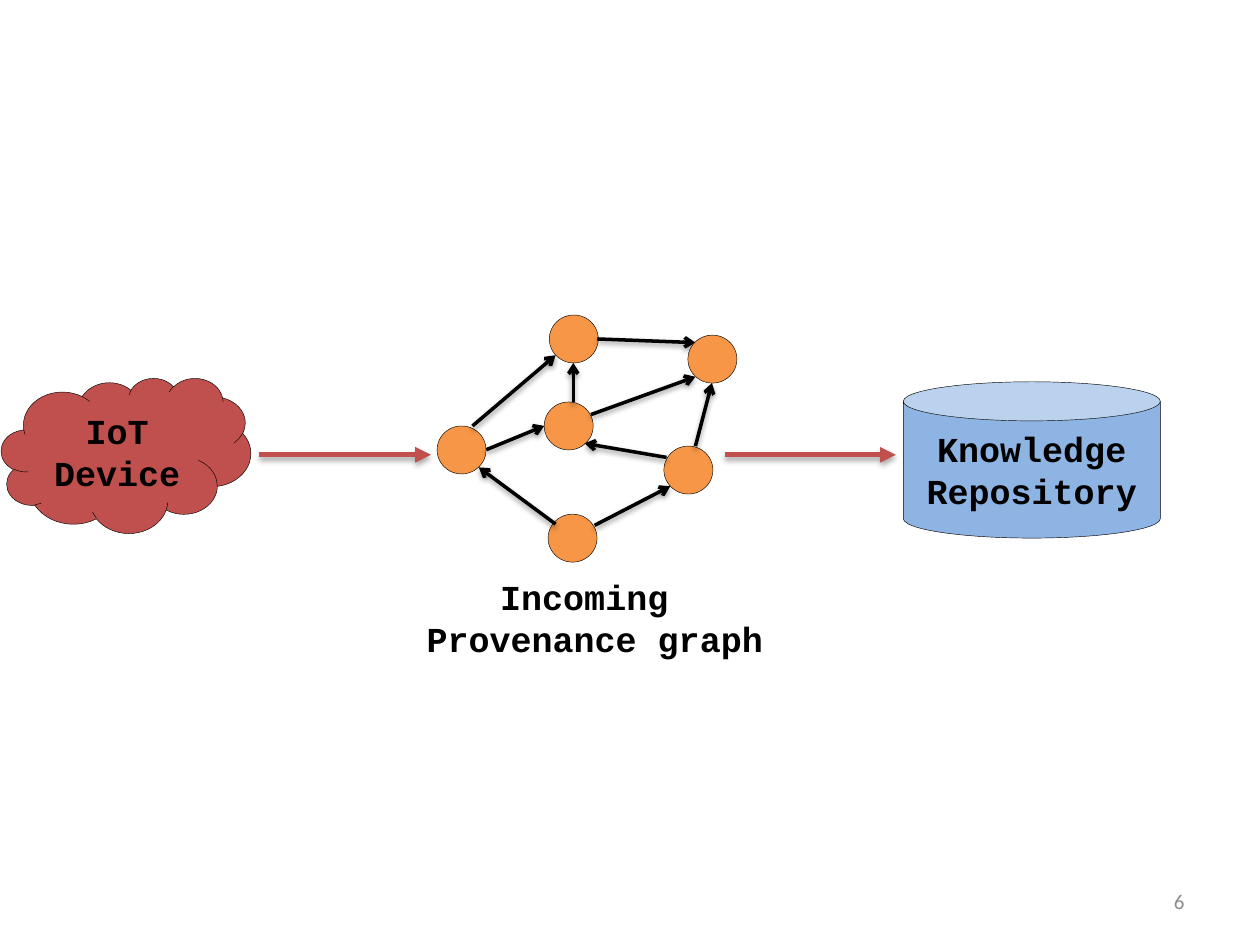
from lxml import etree
from pptx import Presentation
from pptx.dml.color import RGBColor
from pptx.enum import shapes, text
from pptx.oxml import parse_xml
from pptx.oxml.ns import nsdecls, qn
from pptx.util import Pt

THEME = {
    "ink": "000000", "device": "C0504D", "node": "F79646",
    "repository": "8EB4E3", "number": "8C8C8C",
    "label_font": "Courier New", "label_size": 20,
    "number_font": "Calibri", "number_size": 12,
    "outline": 0.25, "edge": 2, "flow": 3,
}
LABEL = {"font": THEME["label_font"], "size": THEME["label_size"],
         "color": THEME["ink"], "bold": True}
NUMBER = {"font": THEME["number_font"], "size": THEME["number_size"],
          "color": THEME["number"], "bold": False}

# Boxes are left, top, width, height in points.
DEVICE = (["IoT Device"], (0.7, 216, 142.6, 88.6))
REPOSITORY = (["Knowledge", "Repository"], (516.2, 218.2, 146.9, 89.3))
CAPTION = (["Incoming ", "Provenance graph"], (175, 325.4, 329.8, 55.4))
SLIDE_NUMBER = (["6"], (516.2, 500.4, 167.8, 28.8))

NODE_SIZE = (28, 27.4)
NODES = [(311, 229.7), (249.8, 243.4), (313.9, 180), (379.4, 254.9), (313.2, 293.8)]
FRONT_NODE = (393.1, 191.5)
EDGES = [
    ((277.9, 257), (311, 243.4)),
    ((327.6, 229.7), (327.6, 207.4)),
    ((337.7, 236.9), (397.4, 215.3)),
    ((380.9, 261.4), (334.1, 253.4)),
    ((339.8, 300.2), (383, 277.9)),
    ((341.3, 193.7), (397.4, 195.8)),
    ((317.5, 299.5), (273.6, 267.1)),
    ((270, 243.4), (317.5, 203)),
    ((397.4, 254.9), (406.8, 218.9)),
]
FLOW_STARTS = [414, 148.3]
FLOW_LENGTH, FLOW_Y = 97.9, 259.9


def rgb(name):
    return RGBColor.from_string(THEME[name])


def write(box, lines, style, align, anchor):
    frame = box.text_frame
    frame.word_wrap = True
    frame.vertical_anchor = anchor
    for index, line in enumerate(lines):
        para = frame.paragraphs[0] if index == 0 else frame.add_paragraph()
        para.text = line
        para.alignment = align
        para.font.name = style["font"]
        para.font.size = Pt(style["size"])
        para.font.bold = style["bold"]
        para.font.color.rgb = RGBColor.from_string(style["color"])


def add_shape(page, kind, box, fill):
    shape = page.shapes.add_shape(kind, *map(Pt, box))
    shape.shadow.inherit = False
    shape.fill.solid()
    shape.fill.fore_color.rgb = rgb(fill)
    shape.line.color.rgb = rgb("ink")
    shape.line.width = Pt(THEME["outline"])
    return shape


def add_node(page, corner):
    add_shape(page, shapes.MSO_SHAPE.OVAL, (*corner, *NODE_SIZE), "node")


def add_arrow(page, start, end, color, width, head, opacity):
    """Draw a line with a head at its end and a soft shadow below it."""
    arrow = page.shapes.add_connector(
        shapes.MSO_CONNECTOR.STRAIGHT, *map(Pt, (*start, *end)))
    arrow.line.color.rgb = rgb(color)
    arrow.line.width = Pt(THEME[width])
    etree.SubElement(arrow.line._get_or_add_ln(), qn("a:tailEnd"), type=head)
    arrow._element.spPr.append(parse_xml(
        f'<a:effectLst {nsdecls("a")}>'
        '<a:outerShdw blurRad="40000" dist="21000" dir="5400000" rotWithShape="0">'
        f'<a:srgbClr val="{THEME["ink"]}"><a:alpha val="{opacity * 1000}"/></a:srgbClr>'
        '</a:outerShdw></a:effectLst>'))


def add_text(page, content, style, align, anchor):
    lines, box = content
    write(page.shapes.add_textbox(*map(Pt, box)), lines, style, align, anchor)


def add_labelled(page, kind, content, fill):
    lines, box = content
    write(add_shape(page, kind, box, fill), lines, LABEL,
          text.PP_ALIGN.CENTER, text.MSO_ANCHOR.MIDDLE)


def main():
    deck = Presentation()
    deck.slide_width, deck.slide_height = Pt(720), Pt(540)
    page = deck.slides.add_slide(deck.slide_layouts[6])

    add_text(page, SLIDE_NUMBER, NUMBER, text.PP_ALIGN.RIGHT, text.MSO_ANCHOR.MIDDLE)
    add_labelled(page, shapes.MSO_SHAPE.CLOUD, DEVICE, "device")
    for corner in NODES:
        add_node(page, corner)
    for start, end in EDGES:
        add_arrow(page, start, end, "ink", "edge", "arrow", 38)
    add_node(page, FRONT_NODE)
    for left in FLOW_STARTS:
        add_arrow(page, (left, FLOW_Y), (left + FLOW_LENGTH, FLOW_Y),
                  "device", "flow", "triangle", 35)
    add_labelled(page, shapes.MSO_SHAPE.CAN, REPOSITORY, "repository")
    add_text(page, CAPTION, LABEL, text.PP_ALIGN.CENTER, text.MSO_ANCHOR.TOP)
    deck.save("out.pptx")


if __name__ == "__main__":
    main()
